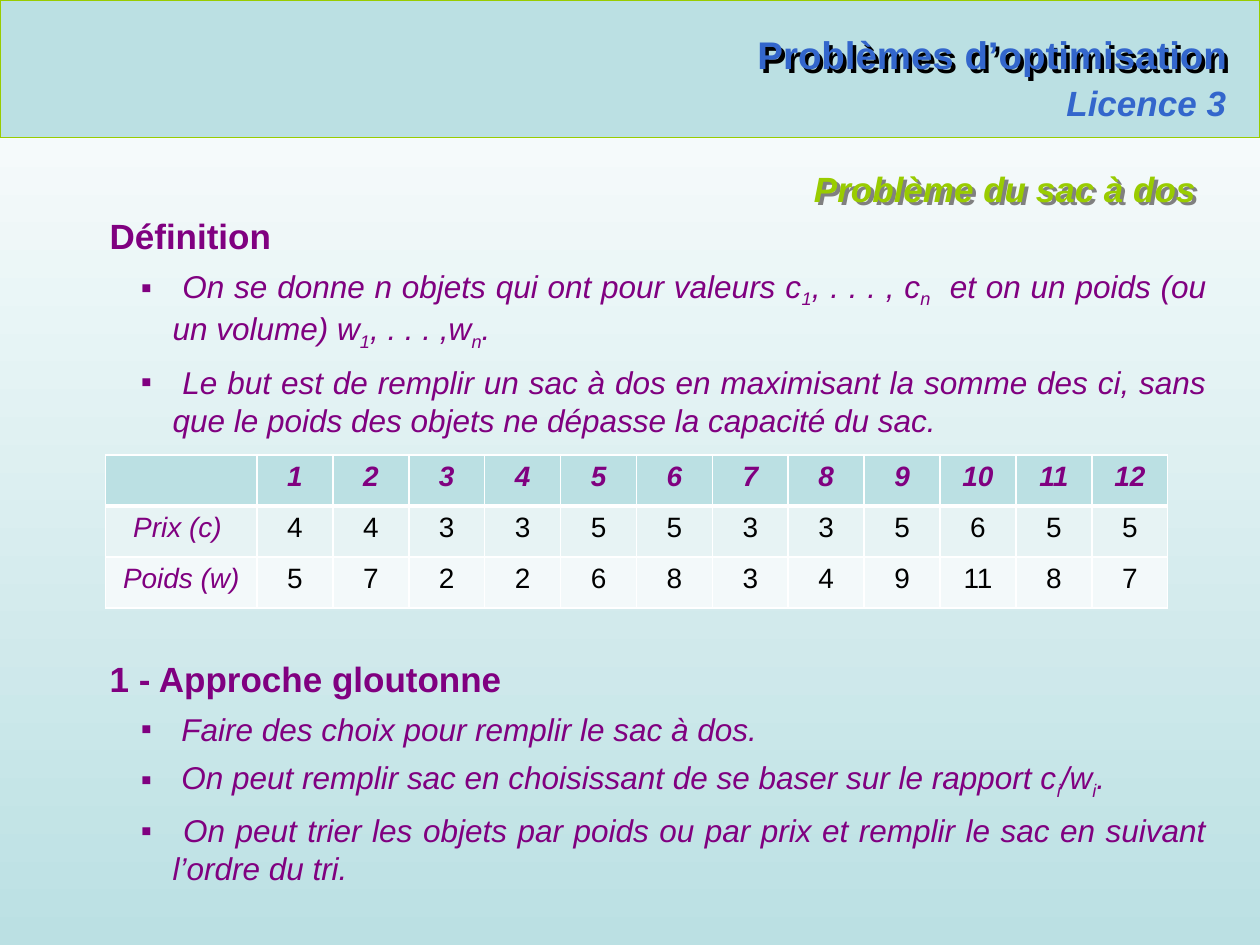
"""Build the knapsack problem slide."""
from dataclasses import dataclass
from lxml import etree
from pptx import Presentation
from pptx.dml.color import RGBColor
from pptx.enum.shapes import MSO_CONNECTOR, MSO_SHAPE
from pptx.enum.text import MSO_AUTO_SIZE, PP_ALIGN
from pptx.oxml import parse_xml
from pptx.oxml.ns import nsdecls, qn
from pptx.util import Cm, Pt

RECT = MSO_SHAPE.RECTANGLE
LINE = MSO_CONNECTOR.STRAIGHT
GROW = MSO_AUTO_SIZE.SHAPE_TO_FIT_TEXT
RIGHT, CENTER, JUST = PP_ALIGN.RIGHT, PP_ALIGN.CENTER, PP_ALIGN.JUSTIFY


@dataclass(frozen=True)
class Theme:
    font: str = "Arial"
    white: str = "FFFFFF"
    black: str = "000000"
    gray: str = "808080"
    pale: str = "BBE0E3"
    green: str = "99CC00"
    blue: str = "3366CC"
    plum: str = "800080"
    rows: tuple = ("BBE0E3", "E7F3F4", "F3F9FA")
    title: int = 22
    head: int = 20
    body: int = 18
    cell: int = 16


T = Theme()

# text, box, size, colour, italic, shadow, wrap
HEADS = [
    ("Problèmes d’optimisation", (14.88, 0.51, 10.11, 1.19), T.title, T.blue, False, T.black, False),
    ("Licence 3", (21.21, 1.52, 3.76, 1.12), T.head, T.blue, True, None, False),
    ("Problème du sac à dos", (11.18, 3.25, 13.18, 1.12), T.head, T.green, True, T.gray, True),
]
PARTS = [
    ("Définition", 0, [
        " On se donne n objets qui ont pour valeurs c_1_, . . . , c_n_  et on un poids (ou un volume) w_1_, . . . ,w_n_.",
        " Le but est de remplir un sac à dos en maximisant la somme des ci, sans que le poids des objets ne dépasse la capacité du sac.",
    ]),
    ("1 - Approche gloutonne", 118.8, [
        " Faire des choix pour remplir le sac à dos.",
        " On peut remplir sac en choisissant de se baser sur le rapport c_i_/w_i_.",
        " On peut trier les objets par poids ou par prix et remplir le sac en suivant l’ordre du tri.",
    ]),
]
GRID = [
    ("", list(range(1, 13))),
    ("Prix (c) ", [4, 4, 3, 3, 5, 5, 3, 3, 5, 6, 5, 5]),
    ("Poids (w)", [5, 7, 2, 2, 6, 8, 3, 4, 9, 11, 8, 7]),
]


def rgb(hue):
    return RGBColor.from_string(hue)


def add_run(para, text, size, hue, bold=False, ital=False):
    run = para.add_run()
    run.text = text
    font = run.font
    font.name, font.size, font.bold, font.italic = T.font, Pt(size), bold, ital
    font.color.rgb = rgb(hue)
    return run


def add_box(box, wrap=True):
    shape = slide.shapes.add_textbox(*map(Cm, box))
    shape.text_frame.word_wrap = wrap
    shape.text_frame.auto_size = GROW
    return shape


def add_glow(shape, hue):
    shape._element.spPr.append(parse_xml(
        f'<a:effectLst {nsdecls("a")}><a:outerShdw dist="35921" dir="2700000" algn="ctr">'
        f'<a:srgbClr val="{hue}"/></a:outerShdw></a:effectLst>'))


def add_dot(para):
    props = para._p.get_or_add_pPr()
    props.set("marL", str(Cm(1.27)))
    props.set("indent", str(-Cm(0.64)))
    etree.SubElement(props, qn("a:buFont")).set("typeface", T.font)
    etree.SubElement(props, qn("a:buChar")).set("char", "▪")


def add_edge(cell, side, width):
    cell._tc.get_or_add_tcPr().append(parse_xml(
        f'<a:ln{side} {nsdecls("a")} w="{Pt(width)}"><a:solidFill>'
        f'<a:srgbClr val="{T.white}"/></a:solidFill></a:ln{side}>'))


deck = Presentation()
deck.slide_width, deck.slide_height = Cm(25.4), Cm(19.05)
slide = deck.slides.add_slide(deck.slide_layouts[6])

back = slide.background.fill
back.gradient()
back.gradient_angle = 270
for stop, hue, pos in zip(back.gradient_stops, (T.white, T.pale), (0, 1)):
    stop.color.rgb = rgb(hue)
    stop.position = pos

band = slide.shapes.add_shape(RECT, 0, 0, deck.slide_width, Cm(2.77))
band.shadow.inherit = False
band.fill.solid()
band.fill.fore_color.rgb = rgb(T.pale)
rule = slide.shapes.add_connector(LINE, Cm(0.86), Cm(2.77), Cm(24.79), Cm(2.77))
etree.SubElement(rule._element.spPr, qn("a:effectLst"))
for part in (band, rule):
    part.line.color.rgb = rgb(T.green)
    part.line.width = Pt(0.75)

for text, box, size, hue, ital, glow, wrap in HEADS:
    shape = add_box(box, wrap)
    para = shape.text_frame.paragraphs[0]
    para.alignment = RIGHT
    add_run(para, text, size, hue, True, ital)
    if glow:
        add_glow(shape, glow)

frame = add_box((1.96, 4.19, 22.61, 13.77)).text_frame
for num, (head, gap, items) in enumerate(PARTS):
    para = frame.add_paragraph() if num else frame.paragraphs[0]
    para.alignment = JUST
    para.space_before, para.space_after = Pt(gap), Pt(6)
    add_run(para, head, T.head, T.plum, True)
    for item in items:
        para = frame.add_paragraph()
        para.alignment = JUST
        para.space_after = Pt(6)
        add_dot(para)
        for spot, text in enumerate(item.split("_")):
            run = add_run(para, text, T.body, T.plum, ital=True)
            if spot % 2:
                run._r.get_or_add_rPr().set("baseline", "-25000")

wide, col, high = 3.05, 1.53, 1.03
count = len(GRID[0][1])
table = slide.shapes.add_table(
    len(GRID), count + 1, Cm(2.13), Cm(9.17),
    Cm(wide + col * count), Cm(high * len(GRID))).table
table.first_row = table.horz_banding = False
for pos, column in enumerate(table.columns):
    column.width = Cm(col if pos else wide)
for row, (name, vals) in enumerate(GRID):
    table.rows[row].height = Cm(high)
    for pos, text in enumerate([name, *vals]):
        cell = table.cell(row, pos)
        label = row == 0 or pos == 0
        edges = {"L": 1, "R": 1, "T": 3 if row == 1 else 1, "B": 3 if row == 0 else 1}
        for side, width in edges.items():
            add_edge(cell, side, width)
        cell.fill.solid()
        cell.fill.fore_color.rgb = rgb(T.rows[row])
        para = cell.text_frame.paragraphs[0]
        para.alignment = CENTER
        if text:
            add_run(para, str(text), T.cell, T.plum if label else T.black, row == 0, label)

deck.save("out.pptx")
